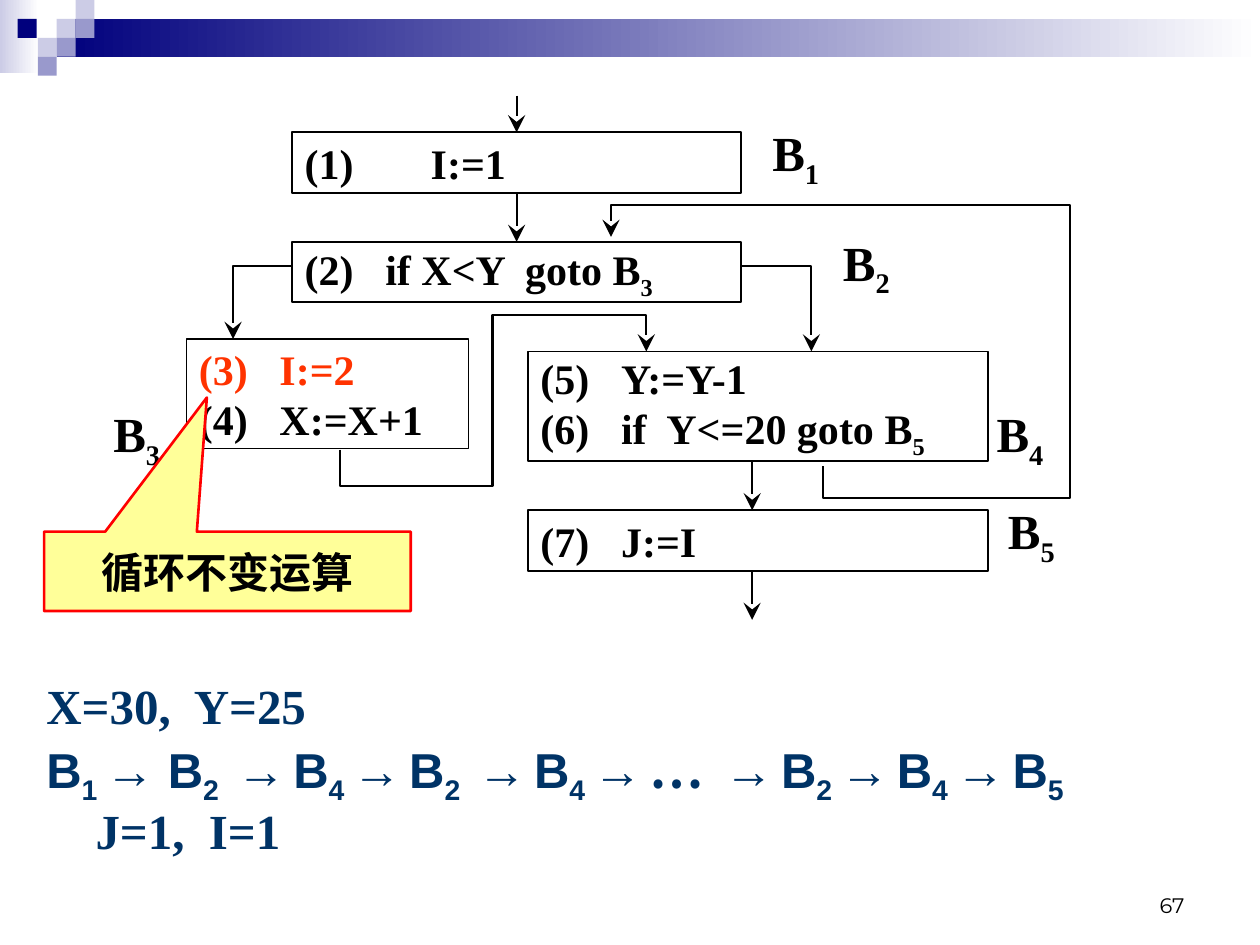
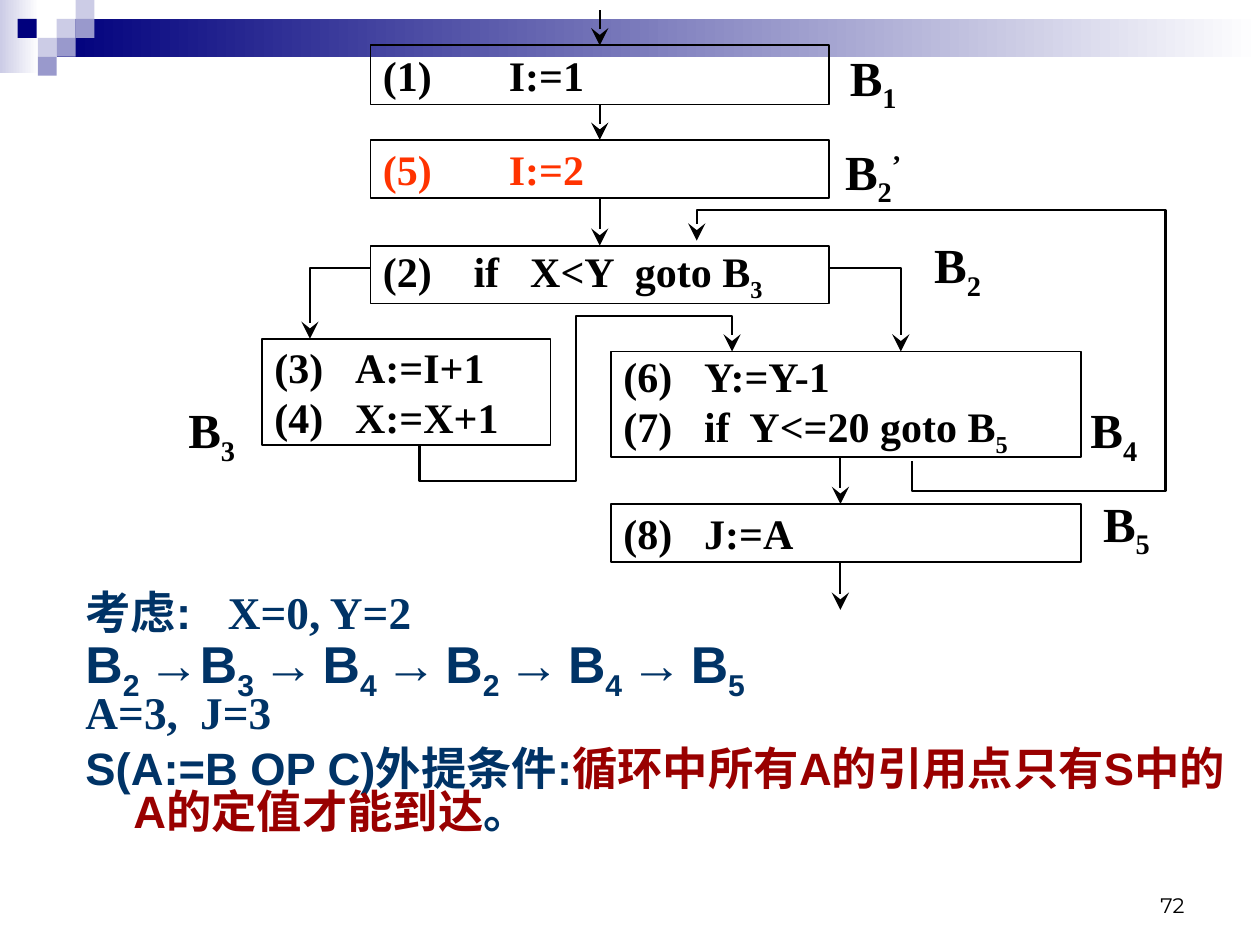
from lxml import etree
from pptx import Presentation
from pptx.dml.color import RGBColor
from pptx.enum.shapes import MSO_CONNECTOR, MSO_SHAPE
from pptx.enum.text import MSO_ANCHOR, PP_ALIGN
from pptx.oxml.ns import qn
from pptx.util import Pt

RECT, CALLOUT = MSO_SHAPE.RECTANGLE, MSO_SHAPE.RECTANGULAR_CALLOUT
STRAIGHT = MSO_CONNECTOR.STRAIGHT
LEFT, CENTER, RIGHT = PP_ALIGN.LEFT, PP_ALIGN.CENTER, PP_ALIGN.RIGHT
TOP, MIDDLE, BOTTOM = MSO_ANCHOR.TOP, MSO_ANCHOR.MIDDLE, MSO_ANCHOR.BOTTOM

PX = 9144  # EMU per px, 100 px to the inch


class Theme:
    ink, alert, body, accent = "000000", "FF3300", "003366", "990000"
    white, navy, lilac, violet = "FFFFFF", "00007D", "CCCCE6", "9999CC"
    note, note_edge = "FFFF99", "FF0000"
    serif, sans, cjk, number = "Times New Roman", "Arial", "Noto Sans CJK SC", "Montserrat"
    code_size, label_size, number_size = 24, 28, 12
    box_line, arrow_line, note_line = 1, 1.25, 1.5
    sub, sup = -25000, 30000
    side_inset = 10


# ---- Content. Text in [brackets] is subscript; a paragraph is (runs, format) ----
SERIF, SANS = {"font": Theme.serif}, {"font": Theme.sans}
ALERT = {"color": Theme.alert}

# Flow graph positions, shared by both slides
FLOW_BOXES = {"entry": (232, 105, 356, 48), "test": (232, 192, 356, 48),
              "then": (148, 269, 224, 87), "loop": (419, 279, 365, 87),
              "exit": (419, 405, 365, 48)}
FLOW_LABELS = {"B[2]": (662, 182), "B[3]": (83, 318), "B[4]": (784, 318), "B[5]": (793, 395)}
FLOW_ARROWS = [
    [(410, 76), (410, 105)],
    [(410, 153), (410, 192)],
    [(597, 366), (597, 405)],
    [(597, 454), (597, 492)],
    [(232, 211), (185, 211), (185, 269)],
    [(588, 211), (644, 211), (644, 279)],
    [(653, 370), (653, 395), (849, 395), (849, 163), (485, 163), (485, 188)],
    [(270, 357), (270, 386), (391, 386), (391, 250), (513, 250), (513, 279)],
]

SLIDES = [
    {
        "number": "67",
        "origin": (232, 192), "scale": (1, 1),
        "code": {
            "entry": ([("(1)\tI:=1", {})], [100]),
            "test": ([("(2)\tif X<Y\tgoto B[3]", {})], [64, 175]),
            "then": ([("(3)\tI:=2", ALERT), ("(4)\tX:=X+1", {})], [64]),
            "loop": ([("(5)\tY:=Y-1", {}), ("(6)\tif\tY<=20 goto B[5]", {})], [64, 100]),
            "exit": ([("(7)\tJ:=I", {})], [64]),
        },
        "labels": [([("B[1]", {})], (606, 95))],
        "note": ("循环不变运算", (35, 422, 291, 63), (-0.056, -2.191)),
        "body_at": (27, 540, 957, 158), "body_size": 28,
        "body": [
            ([("X=30,\tY=25", SERIF)], {"tabs": [117]}),
            ([("B[1 ]→ B[2]\t→[ ]B[4 ]→[ ]B[2]\t→[ ]B[4 ]→[ ]", SANS),
              ("…", {"font": Theme.cjk}),
              ("\t→[ ]B[2 ]→[ ]B[4 ]→[ ]B[5]", SANS)],
             {"tabs": [151, 342, 538], "before": 7}),
            ([("\tJ=1,\tI=1", SERIF)], {"tabs": [39, 129], "before": 7}),
        ],
    },
    {
        "number": "72",
        "origin": (294, 195), "scale": (1.0225, 0.963),
        "code": {
            "entry": ([("(5)\tI:=2", ALERT)], [100]),
            "test": ([("(2)\tif\tX<Y\tgoto B[3]", {})], [72, 117, 200]),
            "then": ([("(3)\tA:=I+1", {}), ("(4)\tX:=X+1", {})], [64]),
            "loop": ([("(6)\tY:=Y-1", {}), ("(7)\tif\tY<=20 goto B[5]", {})], [64, 100]),
            "exit": ([("(8)\tJ:=A", {})], [64]),
        },
        "labels": [([("B[1]", {})], (667, 36)),
                   ([("B[2]", {}), ("’", {"base": Theme.sup})], (667, 111))],
        "first": ([("(1)\tI:=1", {})], [100], (294, 36, 364, 47), [(476, 8), (476, 36)]),
        "body_at": (58, 467, 925, 217), "body_size": 25.9,
        "body": [
            ([("考虑:", SANS), ("\tX=0, Y=2", SERIF)], {"tabs": [113]}),
            ([("B[2 ]→B[3 ]→[ ]B[4 ]→[ ]B[2 ]→[ ]B[4 ]→[ ]B[5]", {**SANS, "size": 29.6})], {}),
            ([("A=3,\tJ=3", SERIF)], {"tabs": [91]}),
            ([("S(A:=B OP C)外提条件:", SANS),
              ("循环中所有A的引用点只有S中的A的定值才能到达", {**SANS, "color": Theme.accent}),
              ("。", SANS)], {"hang": 38, "before": 7}),
        ],
    },
]

# Corner squares: left, top, colour
SQUARE = 15
SQUARES = [(45, 15, Theme.lilac), (60, 0, Theme.lilac), (60, 15, Theme.violet),
           (30, 30, Theme.lilac), (14, 15, Theme.navy), (45, 30, Theme.violet),
           (30, 45, Theme.violet)]
BANDS = [((0, 0, 31, 58), Theme.lilac), ((45, 15, 955, 30), Theme.navy)]


# ---- Drawing helpers ----
def emu(values):
    return [round(v * PX) for v in values]


def rgb(value):
    return RGBColor.from_string(value)


def add_run(p, text, font=Theme.serif, size=Theme.code_size, color=Theme.ink,
            bold=True, base=0):
    r = p.add_run()
    r.text = text
    f = r.font
    f.name, f.size, f.bold = font, Pt(size), bold
    f.color.rgb = rgb(color)
    rPr = r._r.get_or_add_rPr()
    if base:
        rPr.set("baseline", str(base))
    if any(ord(c) > 0x2E7F for c in text):
        etree.SubElement(rPr, qn("a:ea")).set("typeface", Theme.cjk)


def format_paragraph(p, tabs=(), hang=0, before=0, spacing=None, align=LEFT):
    pPr = p._p.get_or_add_pPr()
    if tabs:
        tab_list = etree.SubElement(pPr, qn("a:tabLst"))
        for pos in tabs:
            etree.SubElement(tab_list, qn("a:tab"), pos=str(pos * PX), algn="l")
    if hang:  # an explicit indent would cancel the tab stops
        pPr.set("marL", str(hang * PX))
        pPr.set("indent", str(-hang * PX))
    p.alignment, p.space_before = align, Pt(before)
    if spacing:
        p.line_spacing = spacing


def write(s, paragraphs, anchor=MIDDLE, inset=Theme.side_inset, align=LEFT, spacing=None,
          **run_format):
    """Fill a shape with (runs, paragraph format) pairs."""
    tf = s.text_frame
    tf.word_wrap, tf.vertical_anchor = True, anchor
    tf.margin_left = tf.margin_right = inset * PX
    for i, (runs, layout) in enumerate(paragraphs):
        p = tf.paragraphs[0] if i == 0 else tf.add_paragraph()
        format_paragraph(p, align=align, spacing=spacing, **layout)
        for text, fmt in runs:
            for j, part in enumerate(text.replace("]", "[").split("[")):
                if part:
                    base = {"base": Theme.sub} if j % 2 else {}
                    add_run(p, part, **{**run_format, **fmt, **base})


def add_box(slide, at, fill=None, fade=None, line=None, width=Theme.box_line, kind=RECT):
    s = slide.shapes.add_shape(kind, *emu(at))
    s.shadow.inherit = False
    if fade:
        s.fill.gradient()
        s.fill.gradient_angle = 0
        for stop, color in zip(s.fill.gradient_stops, (fade, Theme.white)):
            stop.color.rgb = rgb(color)
    elif fill:
        s.fill.solid()
        s.fill.fore_color.rgb = rgb(fill)
    else:
        s.fill.background()
    if line:
        s.line.color.rgb, s.line.width = rgb(line), Pt(width)
    else:
        s.line.fill.background()
    return s


def add_text(slide, at, paragraphs, **fmt):
    write(slide.shapes.add_textbox(*emu(at)), paragraphs, **fmt)


def add_arrow(slide, points):
    points = [emu(pt) for pt in points]
    if len(points) == 2:
        s = slide.shapes.add_connector(STRAIGHT, *points[0], *points[1])
        etree.SubElement(s._element.spPr, qn("a:effectLst"))
    else:
        builder = slide.shapes.build_freeform(*points[0], scale=1.0)
        builder.add_line_segments(points[1:], close=False)
        s = builder.convert_to_shape()
        s.shadow.inherit = False
        s.fill.background()
    s.line.color.rgb, s.line.width = rgb(Theme.ink), Pt(Theme.arrow_line)
    etree.SubElement(s.line._get_or_add_ln(), qn("a:tailEnd"),
                     type="stealth", w="lg", len="lg")


def add_code(slide, at, lines, tabs):
    s = add_box(slide, at, line=Theme.ink)
    write(s, [([line], {"tabs": tabs}) for line in lines])


# ---- Slide parts ----
def add_frame(slide, number):
    for at, color in BANDS:
        add_box(slide, at, fade=color)
    for x, y, color in SQUARES:
        add_box(slide, (x, y, SQUARE, SQUARE), fill=color)
    add_text(slide, (717, 683, 233, 50), [([(number, {})], {})], anchor=BOTTOM,
             align=RIGHT, font=Theme.number, size=Theme.number_size, bold=False)


def add_flow(slide, data):
    (x0, y0), (sx, sy) = data["origin"], data["scale"]
    home_x, home_y = FLOW_BOXES["test"][:2]

    def place(x, y):
        return round(x0 + (x - home_x) * sx), round(y0 + (y - home_y) * sy)

    for name, (x, y, w, h) in FLOW_BOXES.items():
        add_code(slide, (*place(x, y), round(w * sx), round(h * sy)), *data["code"][name])
    labels = [([(text, {})], place(*at)) for text, at in FLOW_LABELS.items()]
    for runs, at in labels + data["labels"]:
        add_text(slide, (*at, round(51 * sx), round(58 * sy)), [(runs, {})],
                 inset=0, align=CENTER, size=Theme.label_size)
    for points in FLOW_ARROWS:
        add_arrow(slide, [place(*pt) for pt in points])
    if "first" in data:
        lines, tabs, at, points = data["first"]
        add_code(slide, at, lines, tabs)
        add_arrow(slide, points)


def add_note(slide, text, at, tip):
    s = add_box(slide, at, fill=Theme.note, line=Theme.note_edge,
                width=Theme.note_line, kind=CALLOUT)
    s.adjustments[0], s.adjustments[1] = tip
    write(s, [([(text, SANS)], {})], align=CENTER)


def main():
    prs = Presentation()
    prs.slide_width, prs.slide_height = emu((1000, 750))
    for data in SLIDES:
        slide = prs.slides.add_slide(prs.slide_layouts[6])
        add_frame(slide, data["number"])
        add_flow(slide, data)
        add_text(slide, data["body_at"], data["body"], anchor=TOP, spacing=0.8,
                 size=data["body_size"], color=Theme.body)
        if "note" in data:
            add_note(slide, *data["note"])
    prs.save("out.pptx")


if __name__ == "__main__":
    main()
